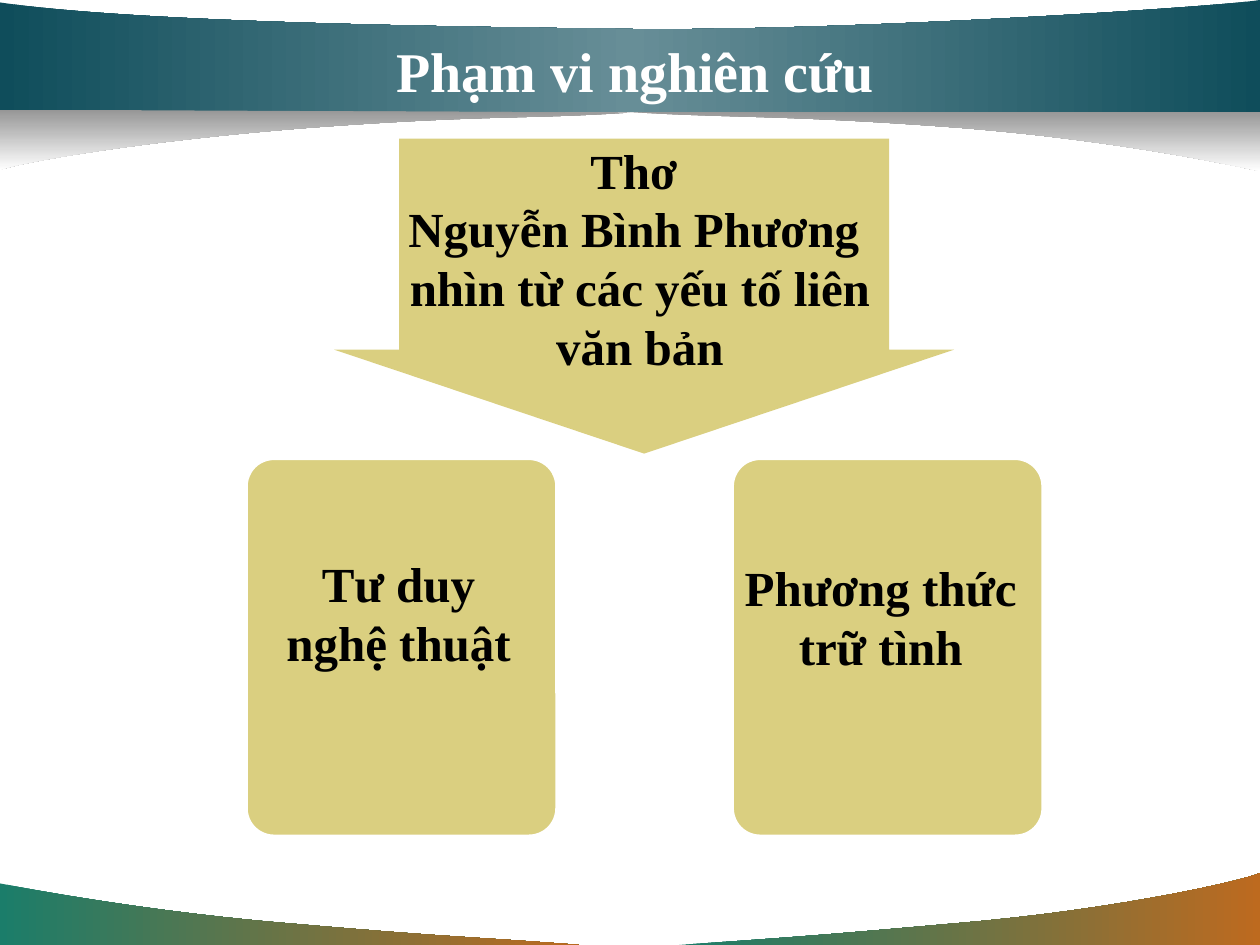
from dataclasses import dataclass

from lxml import etree
from pptx import Presentation
from pptx.dml.color import RGBColor
from pptx.enum.shapes import MSO_SHAPE
from pptx.enum.text import MSO_ANCHOR, MSO_AUTO_SIZE, PP_ALIGN
from pptx.oxml import parse_xml
from pptx.oxml.ns import nsdecls, qn
from pptx.util import Cm, Pt


@dataclass(frozen=True)
class Theme:
    font: str = "Times New Roman"
    title_size: int = 32
    body_size: int = 28
    white: str = "FFFFFF"
    black: str = "000000"
    sand: str = "DACF80"
    header: tuple = ("0F4D5B", "678E97", "0F4D5B")
    shadow: tuple = ("969696", "FFFFFF")
    footer: tuple = ("1B7D6A", "BD6A1F")


def bend_segments(shape, curve_count):
    segments = list(shape.element.iter(qn("a:lnTo")))
    for index in range(curve_count):
        controls = segments[3 * index:3 * index + 3]
        curve = etree.Element(qn("a:cubicBezTo"))
        controls[0].addprevious(curve)
        for segment in controls:
            curve.append(segment[0])
            segment.getparent().remove(segment)


class SlideBuilder:
    def __init__(self, slide, theme):
        self.slide = slide
        self.theme = theme

    def curved_band(self, start, curves, corners, colors, angle=0):
        builder = self.slide.shapes.build_freeform(Cm(start[0]), Cm(start[1]), scale=1.0)
        points = [point for curve in curves for point in curve] + corners
        builder.add_line_segments([(Cm(x), Cm(y)) for x, y in points], close=True)
        shape = builder.convert_to_shape()
        bend_segments(shape, len(curves))
        shape.shadow.inherit = False
        shape.line.fill.background()
        shape.fill.gradient()
        shape.fill.gradient_angle = angle
        stops = shape.element.find(".//" + qn("a:gsLst"))
        for stop in list(stops):
            stops.remove(stop)
        for index, color in enumerate(colors):
            position = 100000 * index // (len(colors) - 1)
            stops.append(parse_xml(
                f'<a:gs {nsdecls("a")} pos="{position}"><a:srgbClr val="{color}"/></a:gs>'
            ))

    def panel(self, kind, left, top, width, height, adjustments):
        shape = self.slide.shapes.add_shape(kind, Cm(left), Cm(top), Cm(width), Cm(height))
        for index, value in enumerate(adjustments):
            shape.adjustments[index] = value
        shape.shadow.inherit = False
        shape.fill.solid()
        shape.fill.fore_color.rgb = RGBColor.from_string(self.theme.sand)
        return shape

    def down_arrow(self, left, top, width, height):
        shape = self.panel(MSO_SHAPE.RIGHT_ARROW, left, top, width, height, (0.79, 0.33))
        shape.rotation = 90
        shape.line.fill.background()

    def card(self, left, top, width, height):
        shape = self.panel(MSO_SHAPE.ROUNDED_RECTANGLE, left, top, width, height, (0.09,))
        shape.line.color.rgb = RGBColor.from_string(self.theme.white)
        shape.line.width = Pt(2)

    def format_paragraph(self, paragraph, size, color):
        paragraph.alignment = PP_ALIGN.CENTER
        paragraph.font.name = self.theme.font
        paragraph.font.size = Pt(size)
        paragraph.font.bold = True
        paragraph.font.color.rgb = RGBColor.from_string(color)

    def title(self, text, left, top, width, height):
        title = self.slide.shapes.title
        title.left, title.top, title.width, title.height = map(Cm, (left, top, width, height))
        frame = title.text_frame
        frame.text = text
        frame.auto_size = MSO_AUTO_SIZE.NONE
        frame.vertical_anchor = MSO_ANCHOR.MIDDLE
        self.format_paragraph(frame.paragraphs[0], self.theme.title_size, self.theme.white)
        title.element.getparent().append(title.element)

    def label(self, lines, left, top, width, height):
        box = self.slide.shapes.add_textbox(Cm(left), Cm(top), Cm(width), Cm(height))
        frame = box.text_frame
        frame.word_wrap = True
        frame.auto_size = MSO_AUTO_SIZE.SHAPE_TO_FIT_TEXT
        frame.text = "\n".join(lines)
        for paragraph in frame.paragraphs:
            self.format_paragraph(paragraph, self.theme.body_size, self.theme.black)


def main():
    presentation = Presentation()
    presentation.slide_width = Cm(25.4)
    presentation.slide_height = Cm(19.05)
    theme = Theme()
    builder = SlideBuilder(presentation.slides.add_slide(presentation.slide_layouts[5]), theme)

    builder.curved_band(
        (11.68, 19.05),
        [((9.75, 18.9), (9.09, 18.9), (5.89, 18.62)), ((2.69, 18.36), (0.03, 17.81), (0, 17.81))],
        [(0, 19.05)], theme.footer)
    builder.curved_band(
        (13.69, 19.05),
        [((15.6, 18.92), (16.41, 18.87), (19.53, 18.59)),
         ((22.66, 18.31), (25.15, 17.73), (25.4, 17.6))],
        [(25.4, 19.05)], theme.footer)
    builder.curved_band(
        (12.7, 2.26),
        [((14.83, 2.39), (15.75, 2.31), (19.25, 2.57)), ((22.78, 2.84), (25.35, 3.45), (25.4, 3.45))],
        [(25.4, 2.24)], theme.shadow, 270)
    builder.curved_band(
        (25.4, 0),
        [((24.49, 0.15), (16.59, 0.66), (12.37, 0.58)), ((8.15, 0.53), (2.57, 0.43), (0, 0.05))],
        [(0, 2.26), (25.4, 2.26)], theme.header)
    builder.curved_band(
        (12.7, 2.27),
        [((10.57, 2.41), (9.86, 2.31), (6.32, 2.57)), ((2.79, 2.84), (0.28, 3.3), (0, 3.43))],
        [(0, 2.21)], theme.shadow, 270)

    builder.down_arrow(9.81, -0.28, 6.35, 12.5)
    builder.title("Phạm vi nghiên cứu", 1.91, 0.62, 21.8, 1.57)
    builder.label(
        ("Thơ ", "Nguyễn Bình Phương ", "nhìn từ các yếu tố liên văn bản"),
        7.94, 2.7, 9.92, 5)
    for left in (4.96, 14.76):
        builder.card(left, 9.24, 6.27, 7.62)
    builder.label(("Tư duy", "nghệ thuật"), 4.96, 11.04, 6.15, 2.64)
    builder.label(("Phương thức ", "trữ tình"), 14.68, 11.11, 6.15, 2.64)

    presentation.save("out.pptx")


if __name__ == "__main__":
    main()
